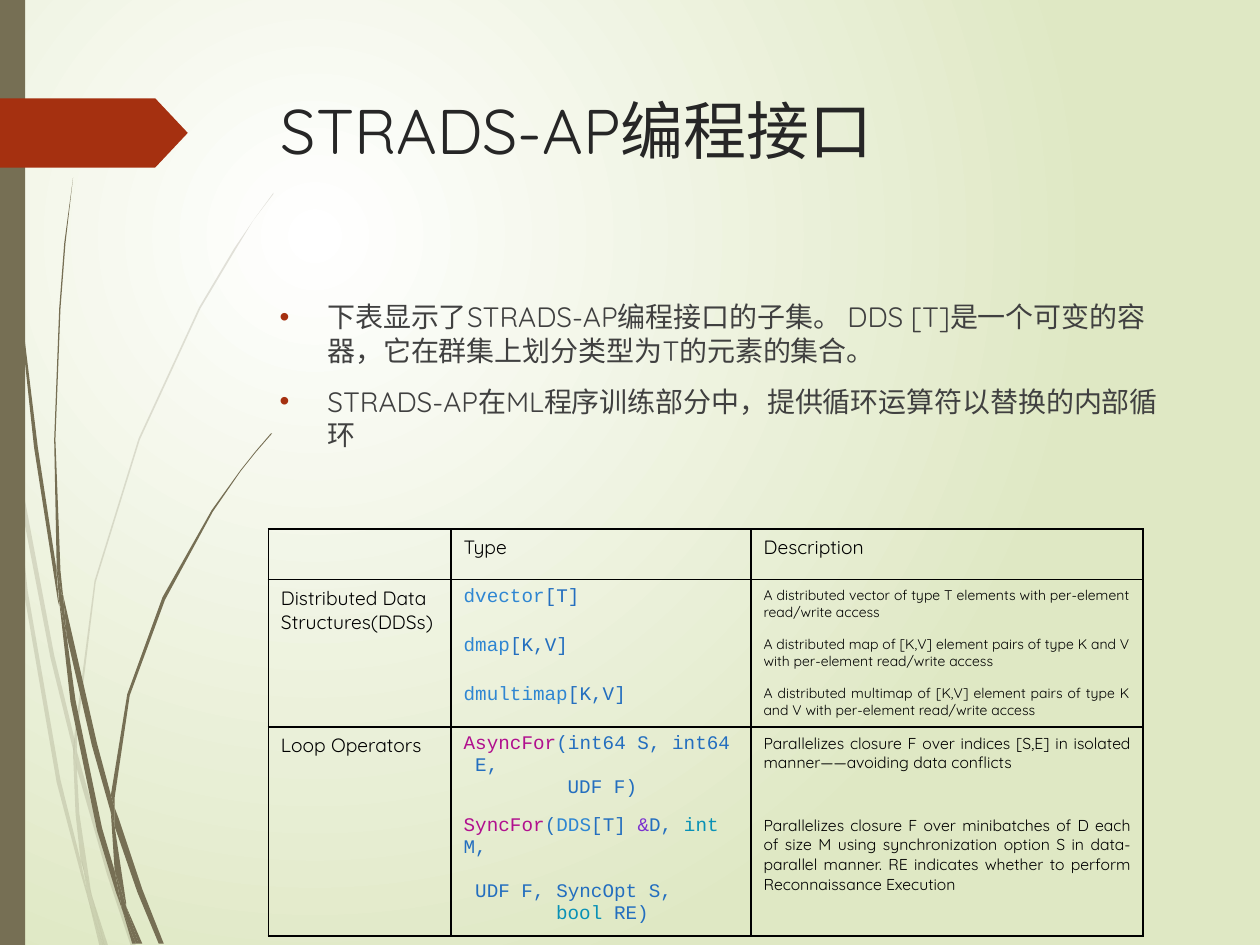
from lxml.etree import SubElement
from pptx import Presentation
from pptx.dml.color import RGBColor
from pptx.enum.shapes import MSO_SHAPE
from pptx.enum.text import PP_ALIGN
from pptx.oxml import parse_xml
from pptx.oxml.ns import nsdecls, qn
from pptx.util import Inches, Pt

WHITE = RGBColor(0xFF, 0xFF, 0xFF)
PALE_GREEN = RGBColor(0xDF, 0xE8, 0xC4)
OLIVE = RGBColor(0x76, 0x6F, 0x54)
RUST = RGBColor(0xA5, 0x30, 0x10)
TITLE_GRAY = RGBColor(0x26, 0x26, 0x26)
BODY_GRAY = RGBColor(0x40, 0x40, 0x40)
BLACK = RGBColor(0, 0, 0)
CODE = RGBColor(0x23, 0x6E, 0xBF)
TYPE = RGBColor(0x2F, 0x86, 0xD2)
LOOP = RGBColor(0xB1, 0x10, 0x8E)
KEYWORD = RGBColor(0x09, 0x91, 0xB6)
SIGN = RGBColor(0x7B, 0x30, 0xD0)
SANS, MONO = "Quicksand", "Courier New"

# Each blade of grass is a closed outline of (x, y) corners in inches.
FAINT_BLADES = [
    [(.08, 3.5), (.06, 3.22), (0, 2.82), (0, 2.99), (.07, 3.44)],
    [(.4, 5.22), (.59, 5.99), (.59, 5.86), (.43, 5.2), (.1, 3.45), (.12, 3.76)],
    [(.64, 6.07), (.61, 5.96), (.61, 6.1), (.85, 6.94), (1.04, 7.51),
     (1.08, 7.51), (.88, 6.92)],
    [(.83, 7.51), (.86, 7.51), (.73, 7.11)],
    [(.64, 6.83), (.48, 6.19), (.22, 4.69), (.12, 3.76), (.08, 3.5),
     (.19, 4.7), (.45, 6.21), (.64, 6.93), (.7, 7.14), (.69, 7.07)],
    [(.58, 5.99), (.6, 6.46), (.64, 6.83), (.67, 6.92), (.73, 7.11),
     (.72, 7.06), (.63, 6.46), (.61, 6.1), (.61, 6.08)],
    [(.61, 5.84), (.76, 4.62), (1.11, 3.49), (1.59, 2.45), (1.87, 1.98),
     (2.01, 1.75), (2.17, 1.54), (2.17, 1.53), (2.01, 1.75), (1.86, 1.97),
     (1.58, 2.44), (1.1, 3.48), (.75, 4.61), (.59, 5.84), (.59, 5.86), (.61, 5.96)],
    [(.7, 7.14), (.79, 7.51), (.82, 7.51)],
    [(.61, 6.08), (.61, 6.1), (.61, 5.96), (.59, 5.86), (.58, 5.99)],
    [(.67, 6.92), (.65, 6.83), (.69, 7.07), (.7, 7.14), (.82, 7.51),
     (.83, 7.51), (.73, 7.11)],
]
DARK_BLADES = [
    [(.05, 1.1), (.14, 2.33), (.27, 3.55), (.46, 4.77), (.47, 4.81), (.45, 4.57),
     (.45, 4.53), (.3, 3.55), (.15, 2.32), (.06, 1.09), (.04, .48), (.03, 0),
     (.02, 0), (.03, .48)],
    [(.73, 5.92), (.88, 6.45), (.88, 6.33), (.88, 6.31), (.77, 5.9), (.5, 4.72),
     (.53, 5.05)],
    [(.94, 6.49), (.91, 6.41), (.91, 6.56), (1.09, 7.08), (1.26, 7.49),
     (1.3, 7.49), (1.13, 7.06)],
    [(.91, 6.91), (.81, 6.57), (.6, 5.56), (.53, 5.05), (.47, 4.77), (.56, 5.57),
     (.77, 6.59), (.92, 7.08), (.97, 7.22), (.96, 7.17)],
    [(.5, 4.72), (.48, 4.53), (.44, 3.49), (.48, 2.45), (.52, 1.93), (.58, 1.41),
     (.51, 1.93), (.47, 2.45), (.43, 3.49), (.45, 4.49), (.49, 4.72)],
    [(1.1, 7.49), (1.13, 7.49), (1, 7.19)],
    [(.47, 4.77), (.53, 5.05), (.5, 4.72), (.49, 4.72), (.45, 4.49), (.45, 4.53)],
    [(.91, 6.33), (1.03, 5.52), (1.31, 4.76), (1.69, 4.06), (1.91, 3.74),
     (2.03, 3.59), (2.16, 3.44), (2.15, 3.44), (2.03, 3.58), (1.91, 3.73),
     (1.68, 4.05), (1.29, 4.74), (1.01, 5.51), (.88, 6.31), (.91, 6.41)],
    [(.97, 7.22), (1.05, 7.49), (1.08, 7.49)],
    [(.88, 6.45), (.91, 6.91), (.96, 7.06), (1, 7.19), (1, 7.16), (.91, 6.56),
     (.9, 6.51)],
    [(.88, 6.45), (.9, 6.51), (.91, 6.56), (.91, 6.41), (.88, 6.31), (.88, 6.33)],
    [(.96, 7.06), (.91, 6.91), (.96, 7.17), (.97, 7.22), (1.08, 7.49),
     (1.1, 7.49), (1, 7.19)],
]

COLUMNS = [1.45, 2.38, 3.11]
ROWS = [.4, .39, .39, .39, .41, .41]
GROUPS = [("Distributed Data Structures(DDSs)", 1, 3), ("Loop Operators", 4, 5)]
# Each code line: left indent in characters, space before in points, spans.
CODE_ROWS = [
    [(0, 0, [("dvector", TYPE), ("[T]", CODE)])],
    [(0, 0, [("dmap", TYPE), ("[K,V]", CODE)])],
    [(0, 0, [("dmultimap", TYPE), ("[K,V]", CODE)])],
    [(0, 0, [("AsyncFor", LOOP), ("(int64\u00a0S,\u00a0int64\u00a0E,", CODE)]),
     (9, 0, [("UDF\u00a0F)", CODE)])],
    [(0, 0, [("SyncFor", LOOP), ("(", CODE), ("DDS", TYPE),
             ("[T]\u00a0", CODE), ("&", SIGN), ("D,\u00a0", CODE),
             ("int", KEYWORD), ("\u00a0M,", CODE)]),
     (1, 12.5, [("UDF\u00a0F,\u00a0SyncOpt\u00a0S,", CODE)]),
     (8, 0, [("bool", KEYWORD), ("\u00a0RE)", CODE)])],
]
DESCRIPTIONS = [
    ("A distributed vector of type T elements with per-element read/write access", 8),
    ("A distributed map of [K,V] element pairs of type K and V with per-element "
     "read/write access", 8),
    ("A distributed multimap of [K,V] element pairs of type K and V with "
     "per-element read/write access", 8),
    ("Parallelizes closure F over indices [S,E] in isolated manner——avoiding "
     "data conflicts", 9),
    ("Parallelizes closure F over minibatches of D each of size M using "
     "synchronization option S in data-parallel manner. RE indicates whether to "
     "perform Reconnaissance Execution", 9),
]


def paint(shape, color, alpha=100):
    """Give a shape a plain fill, no outline and no shadow."""
    shape.shadow.inherit = False
    shape.line.fill.background()
    shape.fill.solid()
    shape.fill.fore_color.rgb = color
    if alpha < 100:
        tint = shape.fill._xPr.find(".//" + qn("a:srgbClr"))
        SubElement(tint, qn("a:alpha")).set("val", str(alpha * 1000))


def write(para, text, size, color, font=SANS):
    """Append one formatted span to a paragraph."""
    span = para.add_run()
    span.text = text
    span.font.size, span.font.name = Pt(size), font
    span.font.color.rgb = color


def add_background(page):
    """Fill the page with a round gradient centred in its upper left."""
    fill = page.background.fill
    fill.gradient()
    for stop, color, place in zip(fill.gradient_stops, (WHITE, PALE_GREEN), (0, 1)):
        stop.color.rgb = color
        stop.position = place
    linear = page.background._cSld.find(".//" + qn("a:lin"))
    linear.getparent().replace(linear, parse_xml(
        f'<a:path {nsdecls("a")} path="circle"><a:fillToRect l="50000" t="50000" '
        'r="100000" b="100000"/></a:path>'))


def add_side_decoration(page):
    """Draw the grass, the side bar and the arrow tab."""
    for blades, alpha in ((FAINT_BLADES, 20), (DARK_BLADES, 100)):
        for blade in blades:
            start, *rest = [(Inches(x), Inches(y)) for x, y in blade]
            builder = page.shapes.build_freeform(*start)
            builder.add_line_segments(rest, close=True)
            paint(builder.convert_to_shape(), OLIVE, alpha)
    for kind, box, color in ((MSO_SHAPE.RECTANGLE, (0, 0, .2, 7.5), OLIVE),
                             (MSO_SHAPE.PENTAGON, (0, .78, 1.49, .55), RUST)):
        shape = page.shapes.add_shape(kind, *map(Inches, box))
        paint(shape, color)
    shape.adjustments[0] = .47


def add_text(page, box, lines, size, color, bulleted=False):
    """Place a wrapped text box, with bullets if asked."""
    frame = page.shapes.add_textbox(*map(Inches, box)).text_frame
    frame.word_wrap = True
    for index, line in enumerate(lines):
        para = frame.add_paragraph() if index else frame.paragraphs[0]
        write(para, line, size, color)
        if bulleted:
            para.space_before = Pt(10)
            props = para._p.get_or_add_pPr()
            props.set("marL", str(Inches(.38)))
            props.set("indent", str(-Inches(.38)))
            tint = SubElement(SubElement(props, qn("a:buClr")), qn("a:srgbClr"))
            tint.set("val", str(RUST))
            SubElement(props, qn("a:buFont")).set("typeface", "Arial")
            SubElement(props, qn("a:buChar")).set("char", "•")


def set_borders(cell, hidden):
    """Draw black cell borders, leaving out the hidden sides."""
    props = cell._tc.get_or_add_tcPr()
    for index, side in enumerate("LRTB"):
        fill = ("<a:noFill/>" if side in hidden else
                '<a:solidFill><a:srgbClr val="000000"/></a:solidFill>')
        props.insert(index, parse_xml(
            f'<a:ln{side} {nsdecls("a")} w="{Pt(1)}">{fill}</a:ln{side}>'))


def add_interface_table(page, left, top):
    """Build the table of types and their descriptions."""
    table = page.shapes.add_table(
        len(ROWS), len(COLUMNS), Inches(left), Inches(top),
        Inches(sum(COLUMNS)), Inches(sum(ROWS))).table
    table.first_row = table.horz_banding = False
    for column, width in zip(table.columns, COLUMNS):
        column.width = Inches(width)
    for row, height in zip(table.rows, ROWS):
        row.height = Inches(height)
    for cell in table.iter_cells():
        cell.fill.background()
    for column in range(3):
        set_borders(table.cell(0, column), "")
    for column, heading in ((1, "Type"), (2, "Description")):
        write(table.cell(0, column).text_frame.paragraphs[0], heading, 11, BLACK)
    for label, first, last in GROUPS:
        for row in range(first, last + 1):
            hidden = ("T" if row > first else "") + ("B" if row < last else "")
            for column in range(3):
                set_borders(table.cell(row, column), hidden if column else "")
        table.cell(first, 0).merge(table.cell(last, 0))
        write(table.cell(first, 0).text_frame.paragraphs[0], label, 11, BLACK)
    for row, (lines, (text, size)) in enumerate(zip(CODE_ROWS, DESCRIPTIONS), 1):
        frame = table.cell(row, 1).text_frame
        for index, (indent, gap, spans) in enumerate(lines):
            para = frame.add_paragraph() if index else frame.paragraphs[0]
            para._p.get_or_add_pPr().set("marL", str(Pt(6.6 * indent)))
            para.space_before = Pt(gap)
            for words, color in spans:
                write(para, words, 11, color, MONO)
        para = table.cell(row, 2).text_frame.paragraphs[0]
        para.alignment = PP_ALIGN.JUSTIFY
        write(para, text, size, BLACK)


deck = Presentation()
deck.slide_width, deck.slide_height = Inches(10), Inches(7.5)
page = deck.slides.add_slide(deck.slide_layouts[6])
add_background(page)
add_side_decoration(page)
add_text(page, (2.13, .68, 7.21, 1.4), ["STRADS-AP编程接口"], 36, TITLE_GRAY)
add_text(page, (2.12, 2.33, 7.21, 4.13), [
    "下表显示了STRADS-AP编程接口的子集。 DDS [T]是一个可变的容器，它在群集上划分类型为T的元素的集合。",
    "STRADS-AP在ML程序训练部分中，提供循环运算符以替换的内部循环"], 16, BODY_GRAY, True)
add_interface_table(page, 2.13, 4.2)
deck.save("out.pptx")
